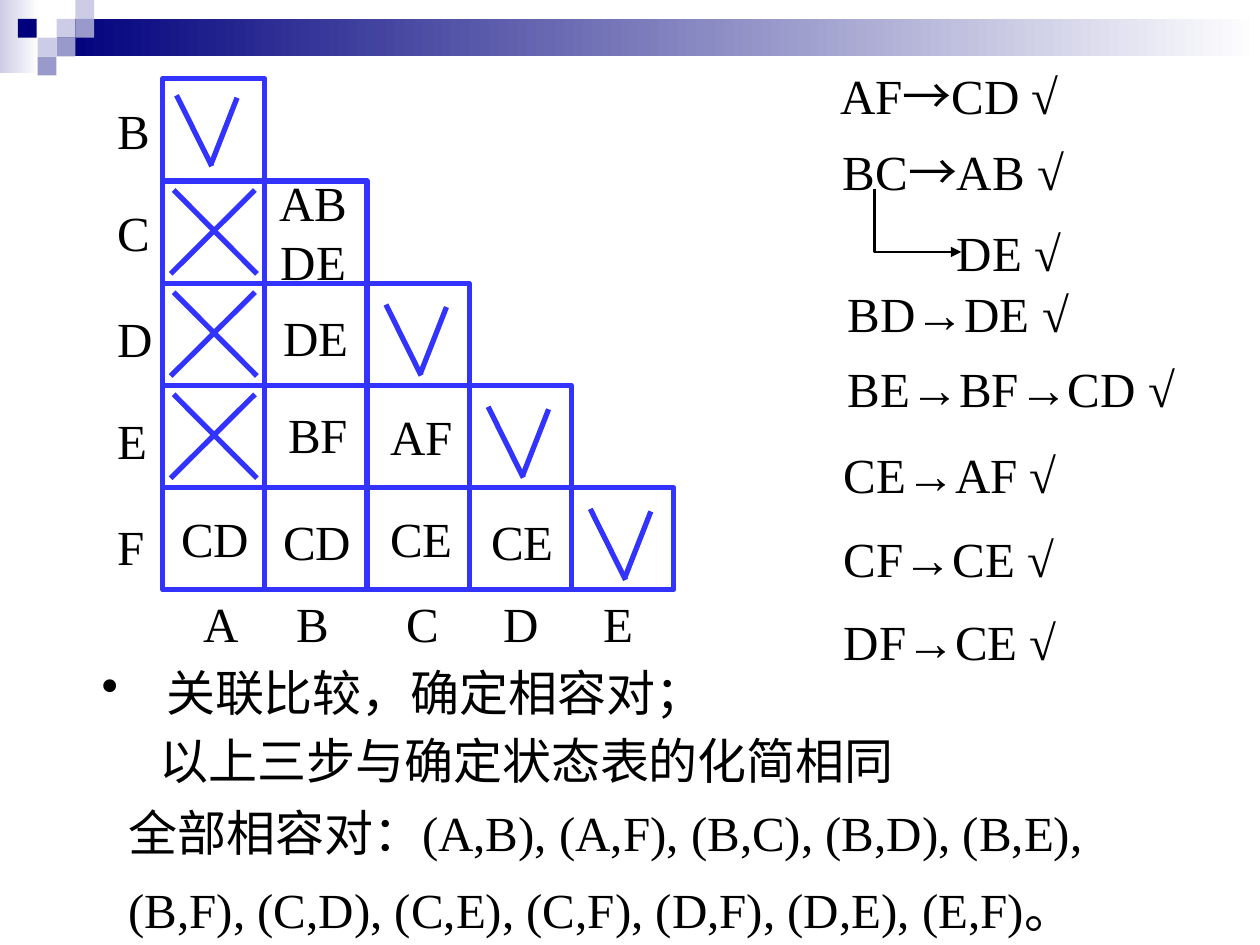
from pptx import Presentation
from pptx.dml.color import RGBColor
from pptx.enum.shapes import MSO_CONNECTOR, MSO_SHAPE
from pptx.enum.text import MSO_AUTO_SIZE, PP_ALIGN
from pptx.oxml.ns import qn
from pptx.util import Cm, Pt
from lxml.etree import SubElement

COLORS = {"navy": "00007D", "mid": "9999CC", "pale": "CCCCE6",
          "white": "FFFFFF", "grid": "3333FF", "text": "000000"}
LATIN, CJK = "Times New Roman", "Noto Sans CJK SC"

# Lengths are in centimetres.
BANNER = [  # left, top, width, height, colours
    (0, 0, 0.79, 1.47, ("pale", "white")),
    (1.14, 0.38, 24.26, 0.76, ("navy", "white")),
]
TILE = 0.38
TILES = [(1.14, 0.38, "pale"), (1.52, 0, "pale"), (1.52, 0.38, "mid"),
         (0.76, 0.76, "pale"), (0.36, 0.38, "navy"), (1.14, 0.76, "mid"),
         (0.76, 1.14, "mid")]

GRID_LEFT, GRID_TOP, CELL = 3.28, 1.59, 2.06
ROWS, COLS = "BCDEF", "ABCDE"
THIN_CELLS = {"DB", "EC"}  # row, column
CHECK = [(0.38, 0.43, 1.09, 1.86), (1.6, 0.48, 1.07, 1.83)]
CROSS = [(0.22, 0.18, 1.9, 1.87), (1.86, 0.18, 0.16, 1.87)]
MARKS = [("BA", CHECK, -0.1), ("CA", CROSS, 0), ("DA", CROSS, 0),
         ("EA", CROSS, 0), ("DC", CHECK, 0), ("ED", CHECK, 0), ("FE", CHECK, 0)]

LETTER_WIDTHS = {"A": 1.22, "B": 1.17, "C": 1.17, "D": 1.22, "E": 1.12, "F": 1.07}
ROW_LABEL_LEFT, ROW_LABEL_TOPS = 2.11, [1.9, 3.96, 6.1, 8.15, 10.29]
COL_LABEL_TOP, COL_LABEL_LEFTS = 11.84, [3.86, 5.72, 7.95, 9.91, 11.91]

LINE_HEIGHT = 1.45
CELL_TEXTS = [  # text, left, top, width
    ("DE", 5.46, 6.07, 1.83), ("BF", 5.56, 8.03, 1.73), ("AF", 7.62, 8.08, 1.78),
    ("CD", 3.4, 10.13, 1.88), ("CD", 5.46, 10.19, 1.88),
    ("CE", 7.62, 10.13, 1.78), ("CE", 9.65, 10.19, 1.78)]
CHAINS = [
    (["AF", "→", "CD √"], 16.69, 1.19, 5.36),
    (["BC", "→", "AB √"], 16.74, 2.72, 5.41),
    (["DE √"], 19.04, 4.37, 3.06),
    (["BD→DE √"], 16.84, 5.59, 5.44),
    (["BE→BF→CD √"], 16.84, 7.11, 7.57)]
LAST_CHAINS = ["CE→AF √", "CF→CE √", "DF→CE √"]
BRANCH = [(17.63, 3.81), (17.63, 5.08), (19.38, 5.08)]

STEP = "关联比较，确定相容对；"
REMARK = "以上三步与确定状态表的化简相同"
PAIRS = ("全部相容对：(A,B), (A,F), (B,C), (B,D), (B,E), (B,F), (C,D), (C,E), "
         "(C,F), (D,F), (D,E), (E,F)。")


def rgb(name):
    return RGBColor.from_string(COLORS[name])


def add_rect(slide, left, top, width, height, fill=None, line=None):
    sp = slide.shapes.add_shape(MSO_SHAPE.RECTANGLE, Cm(left), Cm(top), Cm(width), Cm(height))
    sp.shadow.inherit = False
    if fill is None:
        sp.fill.background()
    elif isinstance(fill, tuple):
        sp.fill.gradient()
        sp.fill.gradient_angle = 0
        for stop, position, name in zip(sp.fill.gradient_stops, (0, 1), fill):
            stop.color.rgb = rgb(name)
            stop.position = position
    else:
        sp.fill.solid()
        sp.fill.fore_color.rgb = rgb(fill)
    if line is None:
        sp.line.fill.background()
    else:
        sp.line.color.rgb = rgb("grid")
        sp.line.width = Pt(line)


def add_stroke(slide, x1, y1, x2, y2):
    ln = slide.shapes.add_connector(MSO_CONNECTOR.STRAIGHT, Cm(x1), Cm(y1), Cm(x2), Cm(y2))
    ln.line.color.rgb = rgb("grid")
    ln.line.width = Pt(3)
    SubElement(ln._element.spPr, qn("a:effectLst"))


def add_text(slide, paragraphs, left, top, width, height=LINE_HEIGHT, wrap=False):
    """Add a box; each paragraph is a list of runs, and a lone arrow run is set in the CJK font."""
    box = slide.shapes.add_textbox(Cm(left), Cm(top), Cm(width), Cm(height))
    tf = box.text_frame
    tf.word_wrap = wrap
    tf.auto_size = MSO_AUTO_SIZE.SHAPE_TO_FIT_TEXT
    for i, texts in enumerate(paragraphs):
        p = tf.paragraphs[0] if i == 0 else tf.add_paragraph()
        for text in texts:
            r = p.add_run()
            r.text = text
            r.font.size = Pt(28)
            r.font.color.rgb = rgb("text")
            r.font.name = CJK if text == "→" else LATIN
            SubElement(r._r.rPr, qn("a:ea"), typeface=CJK)
    return tf.paragraphs


def cell_corner(cell):
    row, col = cell
    return GRID_LEFT + COLS.index(col) * CELL, GRID_TOP + ROWS.index(row) * CELL


def add_banner(slide):
    for left, top, width, height, fill in BANNER:
        add_rect(slide, left, top, width, height, fill)
    for left, top, fill in TILES:
        add_rect(slide, left, top, TILE, TILE, fill)


def add_implication_chart(slide):
    cells = [row + col for i, row in enumerate(ROWS) for col in COLS[:i + 1]]
    for cell in cells:
        add_rect(slide, *cell_corner(cell), CELL, CELL, line=1.5 if cell in THIN_CELLS else 3)
    for cell, strokes, nudge in MARKS:
        x, y = (c + nudge for c in cell_corner(cell))
        for x1, y1, x2, y2 in strokes:
            add_stroke(slide, x + x1, y + y1, x + x2, y + y2)
    for letter, top in zip(ROWS, ROW_LABEL_TOPS):
        add_text(slide, [[letter]], ROW_LABEL_LEFT, top, LETTER_WIDTHS[letter])
    for letter, left in zip(COLS, COL_LABEL_LEFTS):
        add_text(slide, [[letter]], left, COL_LABEL_TOP, LETTER_WIDTHS[letter])
    for text, left, top, width in CELL_TEXTS:
        add_text(slide, [[text]], left, top, width)
    for p in add_text(slide, [["AB"], ["DE"]], 5.38, 3.35, 1.88, 2.62):
        p.alignment = PP_ALIGN.CENTER


def add_chains(slide):
    for runs, left, top, width in CHAINS:
        add_text(slide, [runs], left, top, width)
    paragraphs = add_text(slide, [[t] for t in LAST_CHAINS], 16.76, 8.84, 6.6, 5, wrap=True)
    for p in paragraphs[1:]:
        p.space_before = Pt(14)
    start, *rest = [(Cm(x), Cm(y)) for x, y in BRANCH]
    builder = slide.shapes.build_freeform(*start)
    builder.add_line_segments(rest, close=False)
    sp = builder.convert_to_shape()
    sp.shadow.inherit = False
    sp.fill.background()
    sp.line.color.rgb = rgb("text")
    sp.line.width = Pt(1.5)
    SubElement(sp.line._get_or_add_ln(), qn("a:tailEnd"), type="triangle")


def add_conclusions(slide):
    p = add_text(slide, [[REMARK]], 2.97, 13.77, 18.69, 2.26, wrap=True)[0]
    p.line_spacing = 1.7
    p = add_text(slide, [[STEP]], 1.8, 12.75, 18.82, 1.93, wrap=True)[0]
    p.line_spacing = 1.4
    pPr = p._p.get_or_add_pPr()
    pPr.set("marL", str(Cm(1.3)))
    pPr.set("indent", str(Cm(-1.3)))
    SubElement(pPr, qn("a:buChar"), char="•")
    p = add_text(slide, [[PAIRS]], 2.34, 15.7, 21.39, 3.35, wrap=True)[0]
    p.line_spacing = 1.3


def main():
    prs = Presentation()
    prs.slide_width, prs.slide_height = Cm(25.4), Cm(19.05)
    slide = prs.slides.add_slide(prs.slide_layouts[6])
    add_banner(slide)
    add_implication_chart(slide)
    add_chains(slide)
    add_conclusions(slide)
    prs.save("out.pptx")


if __name__ == "__main__":
    main()
